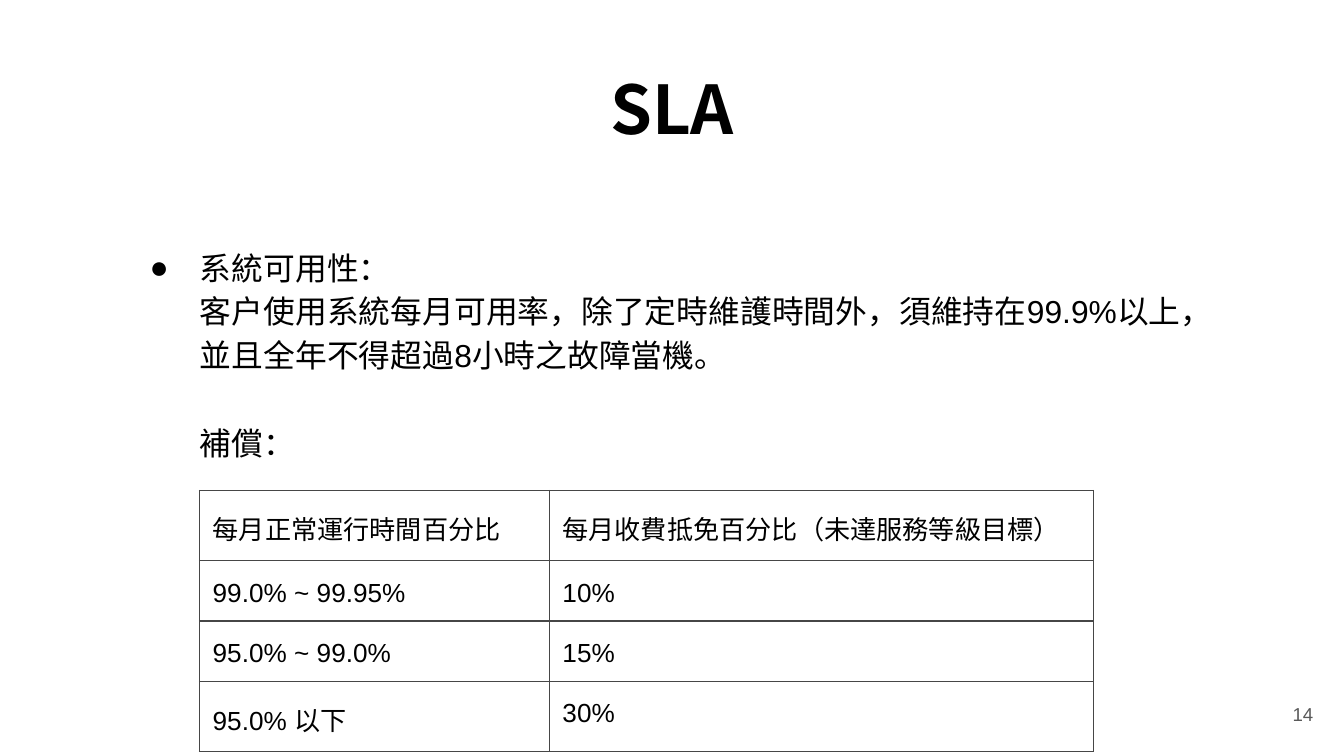
from lxml import etree
from pptx import Presentation
from pptx.dml.color import RGBColor
from pptx.enum.text import MSO_ANCHOR, MSO_AUTO_SIZE, PP_ALIGN
from pptx.oxml.ns import qn
from pptx.util import Cm, Pt

MIDDLE, TOP = MSO_ANCHOR.MIDDLE, MSO_ANCHOR.TOP
LEFT, CENTER, RIGHT = PP_ALIGN.LEFT, PP_ALIGN.CENTER, PP_ALIGN.RIGHT
FIXED = MSO_AUTO_SIZE.NONE

LATIN, CJK = "Arial", "Noto Sans CJK TC"
BLACK, GREY, RULE = "000000", "595959", "464646"
PAD = Cm(0.25)
SPACING = 1.15

TERMS = [
    "系統可用性：",
    "客戶使用系統每月可用率，除了定時維護時間外，須維持在99.9%以上，並且全年不得超過8小時之故障當機。",
    "補償：",
]
CREDITS = [
    ("每月正常運行時間百分比", "每月收費抵免百分比（未達服務等級目標）"),
    ("99.0% ~ 99.95%", "10%"),
    ("95.0% ~ 99.0%", "15%"),
    ("95.0% 以下", "30%"),
]


def paint(color, hue):
    color.rgb = RGBColor.from_string(hue)


def style(para, size, hue=BLACK, face=LATIN, bold=False, align=LEFT):
    para.alignment = align
    font = para.font
    font.size, font.name, font.bold = Pt(size), face, bold
    font.fill.solid()
    paint(font.fill.fore_color, hue)
    base = para._p.pPr.find(qn("a:defRPr"))
    etree.SubElement(base, qn("a:ea"), typeface=CJK)


def pad(part):
    part.margin_left = part.margin_right = PAD
    part.margin_top = part.margin_bottom = PAD


def set_frame(shape, anchor):
    frame = shape.text_frame
    frame.word_wrap = True
    frame.auto_size = FIXED
    frame.vertical_anchor = anchor
    pad(frame)
    return frame


def add_title(slide, box):
    title = slide.shapes.title
    title.left, title.top, title.width, title.height = box
    frame = set_frame(title, MIDDLE)
    frame.text = "SLA"
    style(frame.paragraphs[0], 36, face=CJK, bold=True, align=CENTER)


def indent(para, first):
    """Indent the paragraph and hang a bullet on the first one."""
    props = para._p.get_or_add_pPr()
    props.set("marL", str(Cm(1.27)))
    props.set("indent", str(Cm(-0.95) if first else 0))
    if first:
        hue = etree.SubElement(props, qn("a:buClr"))
        etree.SubElement(hue, qn("a:srgbClr"), val=BLACK)
        etree.SubElement(props, qn("a:buFont"), typeface=LATIN)
        etree.SubElement(props, qn("a:buChar"), char="●")
    else:
        etree.SubElement(props, qn("a:buNone"))


def add_terms(slide, box):
    frame = set_frame(slide.shapes.add_textbox(*box), TOP)
    frame.text = "\n".join(TERMS)
    for i, para in enumerate(frame.paragraphs):
        indent(para, i == 0)
        para.line_spacing = SPACING
        style(para, 17)
    para.space_before = Pt(23.4)


def add_border(cell):
    props = cell._tc.get_or_add_tcPr()
    for i, side in enumerate(("lnL", "lnR", "lnT", "lnB")):
        line = etree.Element(qn(f"a:{side}"), w=str(Pt(0.75)))
        fill = etree.SubElement(line, qn("a:solidFill"))
        etree.SubElement(fill, qn("a:srgbClr"), val=RULE)
        props.insert(i, line)


def add_credits(slide, box):
    table = slide.shapes.add_table(len(CREDITS), 2, *box).table
    table.first_row = table.horz_banding = False
    split = Cm(6.61)
    table.columns[0].width = split
    table.columns[1].width = box[2] - split
    for row, texts, tall in zip(table.rows, CREDITS, (1.2, 1.13, 1.13, 1.2)):
        row.height = Cm(tall)
        for cell, text in zip(row.cells, texts):
            cell.text = text
            pad(cell)
            cell.fill.background()
            add_border(cell)
            para = cell.text_frame.paragraphs[0]
            para.line_spacing = SPACING
            style(para, 14)


def add_number(slide, box):
    frame = set_frame(slide.shapes.add_textbox(*box), MIDDLE)
    frame.text = "14"
    style(frame.paragraphs[0], 10, GREY, align=RIGHT)


def main():
    deck = Presentation()
    deck.slide_width, deck.slide_height = Cm(25.4), Cm(14.29)
    slide = deck.slides.add_slide(deck.slide_layouts[5])
    add_title(slide, (Cm(0.87), Cm(1.24), Cm(23.67), Cm(1.6)))
    add_terms(slide, (Cm(2.26), Cm(4.34), Cm(20.9), Cm(7.57)))
    add_number(slide, (Cm(23.55), Cm(12.95), Cm(1.52), Cm(1.09)))
    add_credits(slide, (Cm(3.77), Cm(9.27), Cm(16.9), Cm(4.66)))
    deck.save("out.pptx")


if __name__ == "__main__":
    main()
